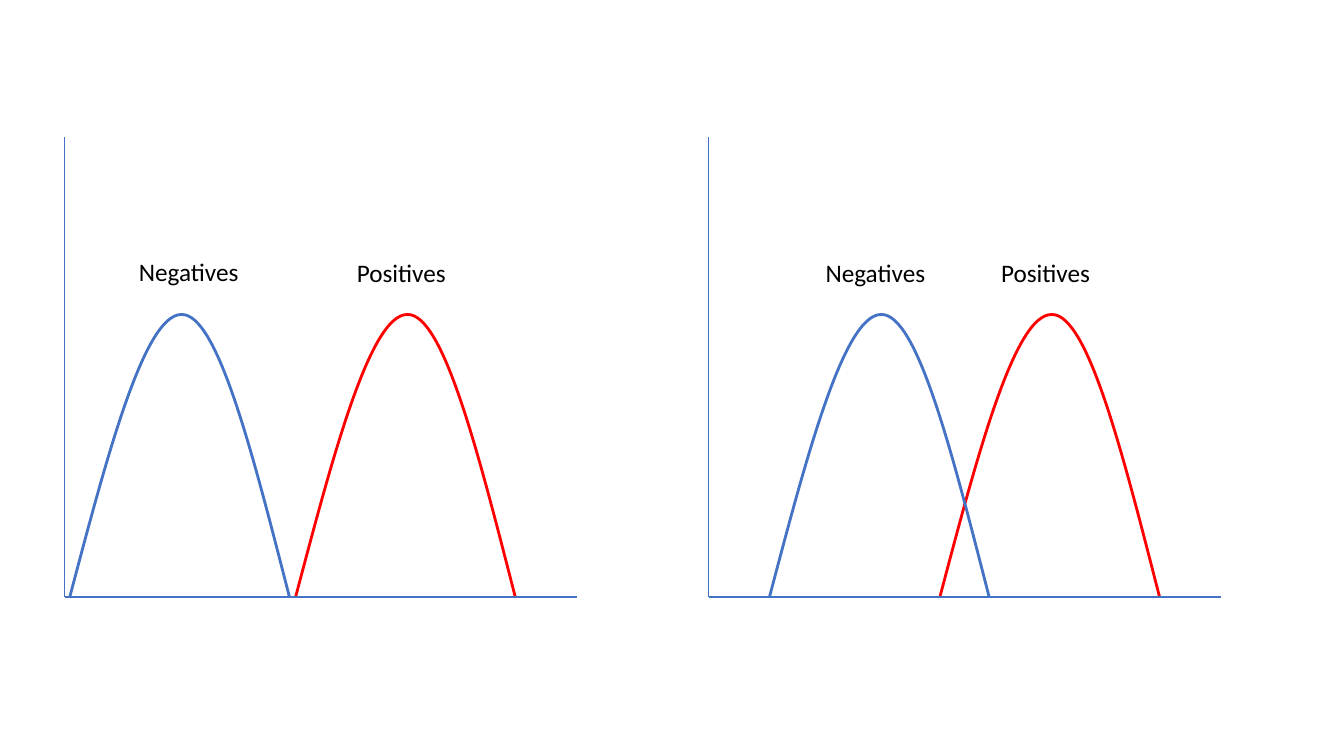
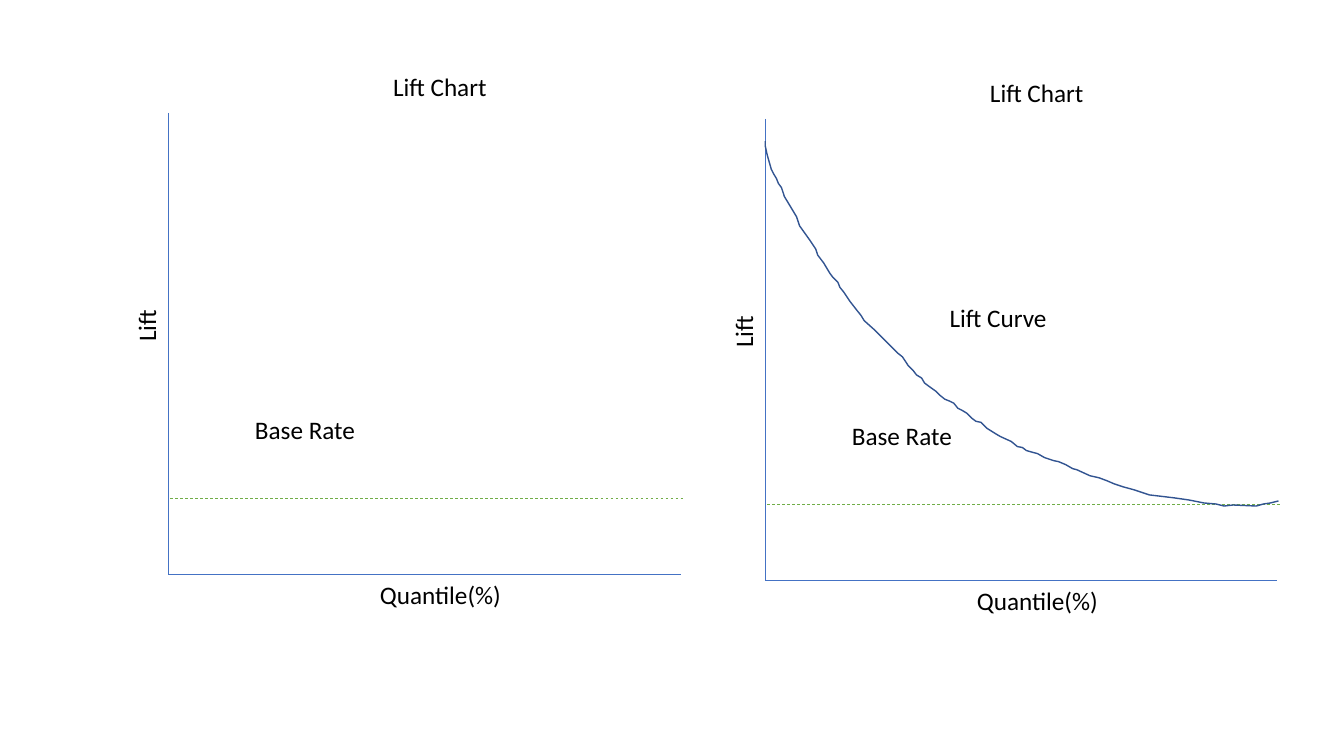
import pptx
import pptx.dml.color
import pptx.enum.dml
import pptx.enum.shapes
import pptx.enum.text
import pptx.oxml.ns
import pptx.util
from lxml import etree

Inches = pptx.util.Inches
qn = pptx.oxml.ns.qn
COLORS = {
    "blue": "4472C4",
    "red": "FF0000",
    "green": "70AD47",
    "lift": "325491",
    "text": "000000",
}
FONT = "Calibri"
LABEL_HEIGHT = 0.4
AXIS_LENGTH = 5.08
BELL_CONTROLS = [
    (0, 5.93), (0.37, 4.53), (0.74, 3.12), (1.11, 3.12),
    (1.47, 3.11), (1.82, 4.52), (2.18, 5.92),
]
LIFT_POINTS = [
    (7.59, 1.4), (7.59, 1.45), (7.61, 1.54), (7.65, 1.68), (7.67, 1.72),
    (7.7, 1.77), (7.72, 1.82), (7.75, 1.86), (7.78, 1.95), (7.84, 2.05),
    (7.9, 2.15), (7.93, 2.24), (8.03, 2.38), (8.09, 2.47), (8.11, 2.53),
    (8.17, 2.61), (8.23, 2.71), (8.26, 2.75), (8.31, 2.8), (8.33, 2.85),
    (8.37, 2.9), (8.43, 2.99), (8.5, 3.08), (8.54, 3.13), (8.57, 3.18),
    (8.67, 3.27), (8.86, 3.46), (8.9, 3.5), (8.95, 3.54), (9.01, 3.63),
    (9.06, 3.68), (9.09, 3.72), (9.14, 3.75), (9.17, 3.8), (9.21, 3.83),
    (9.28, 3.88), (9.32, 3.92), (9.37, 3.96), (9.42, 3.98), (9.46, 4),
    (9.5, 4.05), (9.54, 4.07), (9.59, 4.1), (9.64, 4.15), (9.68, 4.18),
    (9.73, 4.19), (9.79, 4.25), (9.87, 4.3), (9.92, 4.33), (10.03, 4.38),
    (10.09, 4.43), (10.14, 4.44), (10.18, 4.47), (10.25, 4.49), (10.29, 4.5),
    (10.36, 4.54), (10.45, 4.57), (10.5, 4.58), (10.57, 4.61), (10.64, 4.65),
    (10.68, 4.66), (10.81, 4.72), (10.9, 4.74), (10.98, 4.77), (11.05, 4.8),
    (11.14, 4.83), (11.25, 4.86), (11.31, 4.88), (11.4, 4.91), (11.57, 4.93),
    (11.65, 4.94), (11.79, 4.96), (11.84, 4.97), (11.94, 4.99), (12.06, 5),
    (12.14, 5.02), (12.23, 5.01), (12.46, 5.02), (12.53, 5), (12.6, 4.99),
    (12.68, 4.97),
]


def set_line(line, color, weight):
    line.color.rgb = pptx.dml.color.RGBColor.from_string(COLORS[color])
    line.width = pptx.util.Pt(weight)


def add_line(slide, start, end, color, weight, dashed=False):
    connector = slide.shapes.add_connector(
        pptx.enum.shapes.MSO_CONNECTOR.STRAIGHT,
        *(Inches(value) for value in (*start, *end)),
    )
    set_line(connector.line, color, weight)
    if dashed:
        connector.line.dash_style = pptx.enum.dml.MSO_LINE.DASH
    etree.SubElement(connector._element.spPr, qn("a:effectLst"))


def add_axes(slide, left, top, bottom, vertical_weight):
    add_line(slide, (left, bottom), (left + AXIS_LENGTH, bottom), "blue", 1.25)
    add_line(slide, (left, top), (left, bottom), "blue", vertical_weight)


def add_curve(slide, points, color, weight):
    start, *rest = [(Inches(x), Inches(y)) for x, y in points]
    builder = slide.shapes.build_freeform(*start, scale=1.0)
    builder.add_line_segments(rest, close=False)
    curve = builder.convert_to_shape()
    curve.fill.background()
    curve.shadow.inherit = False
    set_line(curve.line, color, weight)
    return curve


def add_bell(slide, left, color):
    points = [(left + x, y) for x, y in BELL_CONTROLS]
    bell = add_curve(slide, points, color, 2)
    outline = next(bell._element.iter(qn("a:path")))
    segments = outline.findall(qn("a:lnTo"))
    for first in range(0, len(segments), 3):
        bezier = etree.SubElement(outline, qn("a:cubicBezTo"))
        for segment in segments[first:first + 3]:
            bezier.append(segment[0])
            outline.remove(segment)


def add_label(slide, text, left, top, width, wrap=True, rotation=0):
    label = slide.shapes.add_textbox(
        Inches(left), Inches(top), Inches(width), Inches(LABEL_HEIGHT)
    )
    label.rotation = rotation
    frame = label.text_frame
    frame.word_wrap = wrap
    frame.auto_size = pptx.enum.text.MSO_AUTO_SIZE.SHAPE_TO_FIT_TEXT
    run = frame.paragraphs[0].add_run()
    run.text = text
    run.font.name = FONT
    run.font.size = pptx.util.Pt(18)
    run.font.color.rgb = pptx.dml.color.RGBColor.from_string(COLORS["text"])


def add_distributions(slide, axis_left, negatives, positives, labels):
    add_bell(slide, positives, "red")
    add_bell(slide, negatives, "blue")
    add_axes(slide, axis_left, 1.36, 5.92, 1)
    for text, left, top, width in labels:
        add_label(slide, text, left, top, width, wrap=False)


def add_lift_chart(slide, left, top):
    bottom = top + 4.58
    base_rate = top + 3.82
    add_axes(slide, left, top, bottom, 0.5)
    add_line(
        slide, (left + 0.02, base_rate), (left + 5.11, base_rate),
        "green", 0.5, dashed=True,
    )
    add_label(slide, "Quantile(%)", left + 2, bottom, 1.55)
    add_label(slide, "Lift", left - 0.68, top + 1.71, 0.92, rotation=270)
    add_label(slide, "Lift Chart", left + 2.13, top - 0.46, 1.28)
    add_label(slide, "Base Rate", left + 0.76, top + 2.94, 1.28)


def main():
    deck = pptx.Presentation()
    deck.slide_width = Inches(13.33)
    deck.slide_height = Inches(7.5)
    blank = deck.slide_layouts[6]

    distributions = deck.slides.add_slide(blank)
    add_distributions(
        distributions, 0.64, 0.69, 2.93,
        [("Negatives", 1.28, 2.49, 1.26), ("Positives", 3.44, 2.5, 1.15)],
    )
    add_distributions(
        distributions, 7.03, 7.63, 9.32,
        [("Negatives", 8.09, 2.5, 1.26), ("Positives", 9.83, 2.5, 1.15)],
    )

    lift = deck.slides.add_slide(blank)
    add_lift_chart(lift, 1.67, 1.12)
    add_lift_chart(lift, 7.59, 1.18)
    add_curve(lift, LIFT_POINTS, "lift", 1)
    add_label(lift, "Lift Curve", 9.32, 2.95, 1.28)

    deck.save("out.pptx")


if __name__ == "__main__":
    main()
